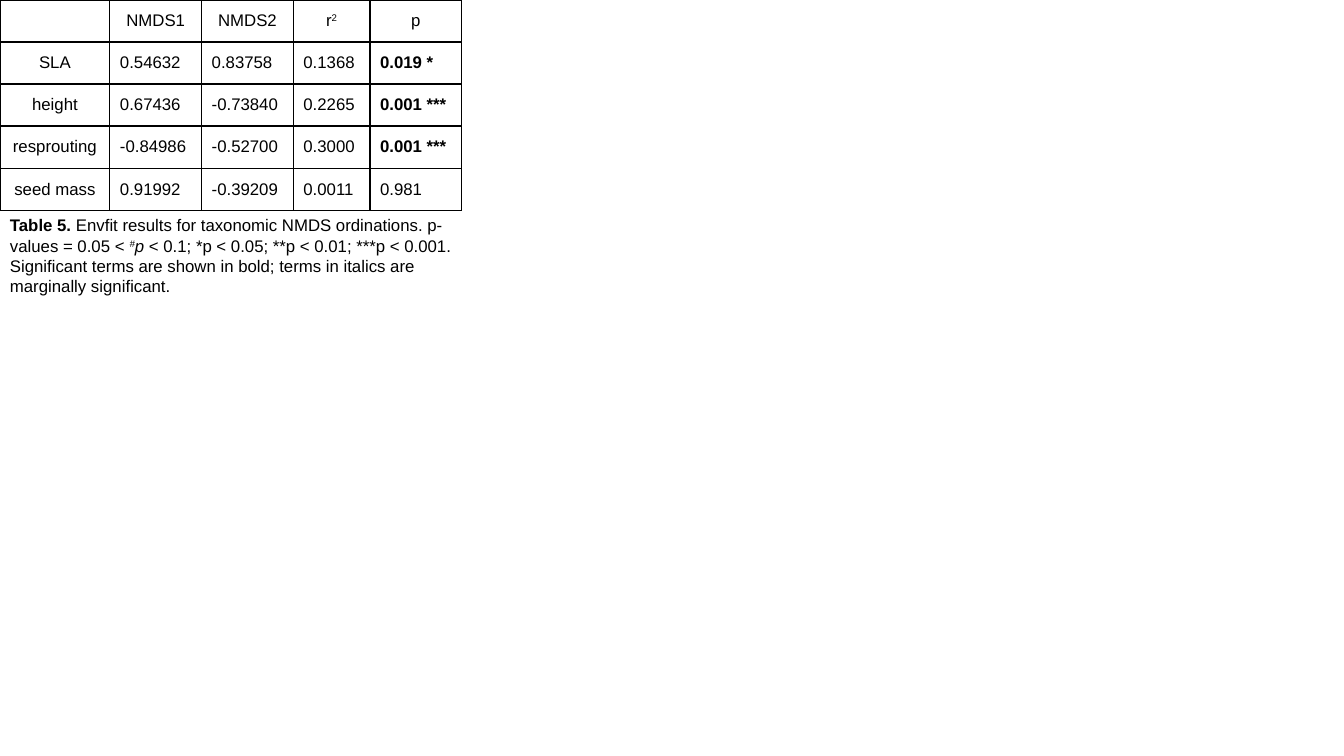
from pptx import Presentation, util as u
from pptx.dml.color import RGBColor
from pptx.enum import text
from pptx.oxml import parse_xml
from pptx.oxml.ns import nsdecls

BLACK = RGBColor(0, 0, 0)
WHITE = RGBColor(255, 255, 255)
FONT, SIZE = "Arial", u.Pt(12)

HEADER = ["", "NMDS1", "NMDS2", "r2", "p"]
TRAITS = [
    ("SLA", "0.54632", "0.83758", "0.1368", "0.019 *"),
    ("height", "0.67436", "-0.73840", "0.2265", "0.001 ***"),
    ("resprouting", "-0.84986", "-0.52700", "0.3000", "0.001 ***"),
    ("seed mass", "0.91992", "-0.39209", "0.0011", "0.981"),
]
CAPTION = [
    ("Table 5. ", "bold"),
    ("Envfit results for taxonomic NMDS ordinations. p-values = 0.05 < ", ""),
    ("#", "italic super"),
    ("p", "italic"),
    (" < 0.1; *p < 0.05; **p < 0.01; ***p < 0.001. Signiﬁcant terms are shown "
     "in bold; terms in italics are marginally signiﬁcant.", ""),
]
COLUMNS = [1.09, 0.91, 0.91, 0.76, 0.91]
ROW = 0.417
CAPTION_HEIGHT = 0.91


def write(p, runs):
    p.font.name, p.font.size, p.font.color.rgb = FONT, SIZE, BLACK
    for words, style in runs:
        r = p.add_run()
        r.text = words
        r.font.bold = "bold" in style
        r.font.italic = "italic" in style
        if "super" in style:
            r.font._element.set("baseline", "30000")
    if not runs:
        p._p.get_or_add_endParaRPr().set("sz", str(int(SIZE.pt * 100)))


def cell_runs(words, row):
    if not words:
        return []
    if words == "r2":
        return [("r", ""), ("2", "super")]
    return [(words, "bold" if row and "*" in words else "")]


def format_cell(cell):
    cell.vertical_anchor = text.MSO_ANCHOR.MIDDLE
    cell.margin_left = cell.margin_right = u.Inches(0.1)
    cell.margin_top = cell.margin_bottom = u.Inches(0.1)
    tcPr = cell._tc.get_or_add_tcPr()
    for side in ("lnL", "lnR", "lnT", "lnB"):
        tcPr.append(parse_xml(
            f'<a:{side} {nsdecls("a")} w="{u.Pt(1)}"><a:solidFill>'
            f'<a:srgbClr val="{BLACK}"/></a:solidFill></a:{side}>'))
    cell.fill.solid()
    cell.fill.fore_color.rgb = WHITE


def main():
    prs = Presentation()
    prs.slide_width, prs.slide_height = u.Inches(13.33), u.Inches(7.5)
    s = prs.slides.add_slide(prs.slide_layouts[6])

    rows = [HEADER, *TRAITS]
    width, height = u.Inches(sum(COLUMNS)), u.Inches(ROW * len(rows))
    table = s.shapes.add_table(len(rows), len(COLUMNS), 0, 0, width, height).table
    table.first_row = table.horz_banding = False
    for column, w in zip(table.columns, COLUMNS):
        column.width = u.Inches(w)
    for i, row in enumerate(rows):
        table.rows[i].height = u.Inches(ROW)
        for j, words in enumerate(row):
            cell = table.cell(i, j)
            format_cell(cell)
            p = cell.text_frame.paragraphs[0]
            if i == 0 or j == 0:
                p.alignment = text.PP_ALIGN.CENTER
            write(p, cell_runs(words, i))

    tf = s.shapes.add_textbox(0, height, width, u.Inches(CAPTION_HEIGHT)).text_frame
    tf.word_wrap = True
    tf.auto_size = text.MSO_AUTO_SIZE.SHAPE_TO_FIT_TEXT
    write(tf.paragraphs[0], CAPTION)

    prs.save("out.pptx")


if __name__ == "__main__":
    main()
